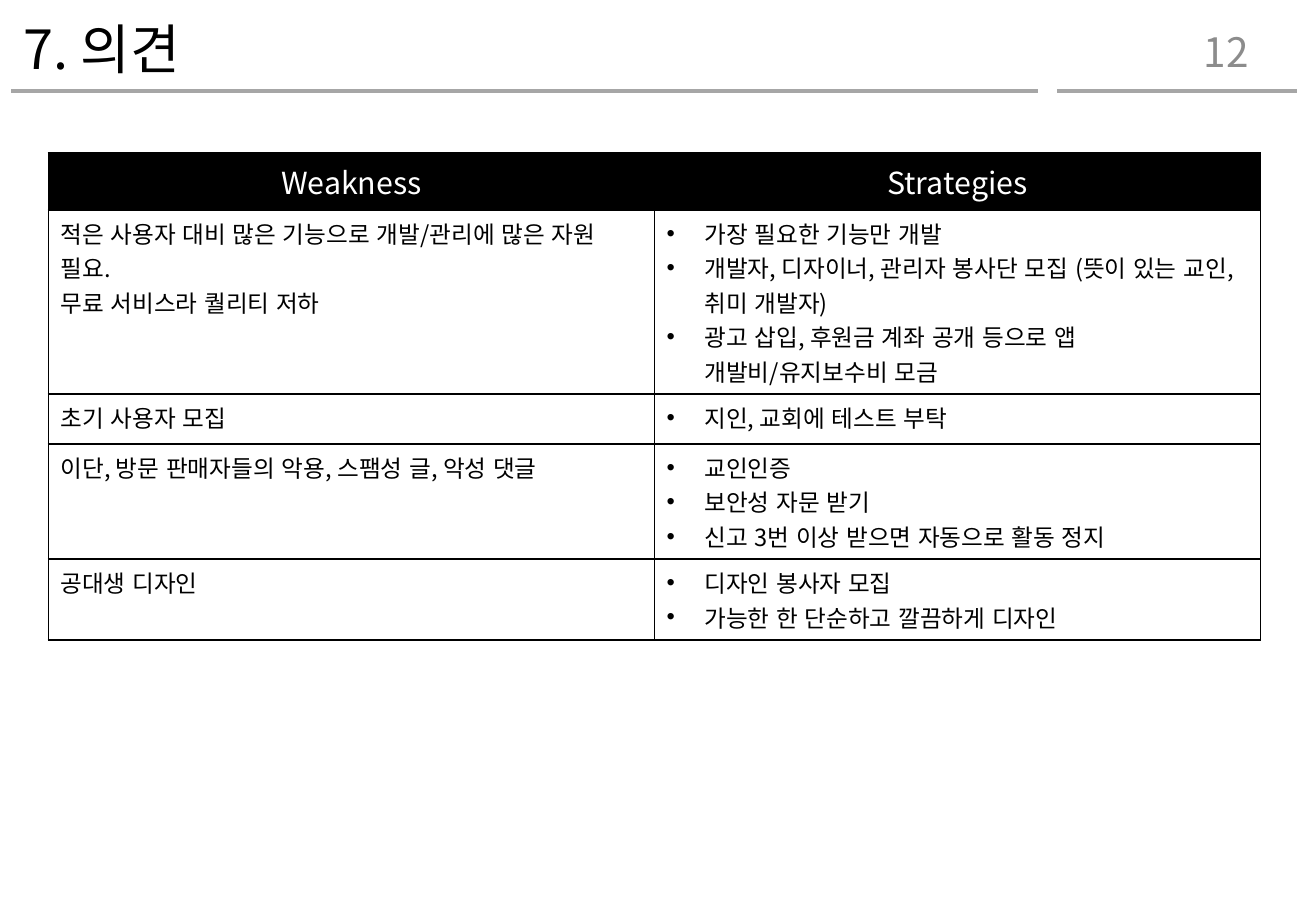
from dataclasses import dataclass

from lxml import etree
from pptx import Presentation
from pptx.dml.color import RGBColor
from pptx.enum.lang import MSO_LANGUAGE_ID
from pptx.enum.shapes import MSO_CONNECTOR
from pptx.enum.text import MSO_ANCHOR, PP_ALIGN
from pptx.oxml.ns import qn
from pptx.util import Cm, Pt

STRAIGHT = MSO_CONNECTOR.STRAIGHT
MIDDLE = MSO_ANCHOR.MIDDLE
LEFT, CENTER, RIGHT = PP_ALIGN.LEFT, PP_ALIGN.CENTER, PP_ALIGN.RIGHT
KOREAN = MSO_LANGUAGE_ID.KOREAN


@dataclass(frozen=True)
class Theme:
    font: str = "Noto Sans CJK KR"
    black: str = "000000"
    white: str = "FFFFFF"
    rule: str = "A6A6A6"
    number: str = "8C8C8C"
    title_size: int = 32
    number_size: int = 24
    header_size: int = 18
    body_size: int = 14
    rule_width: float = 2.25
    border_width: float = 1


THEME = Theme()
HEADERS = ["Weakness", "Strategies"]
ROW_HEIGHTS = [1.19, 3.85, 1.04, 2.41, 1.69]
OPINIONS = [
    (
        ["적은 사용자 대비 많은 기능으로 개발/관리에 많은 자원 필요.",
         "무료 서비스라 퀄리티 저하"],
        ["가장 필요한 기능만 개발",
         "개발자, 디자이너, 관리자 봉사단 모집 (뜻이 있는 교인, 취미 개발자)",
         "광고 삽입, 후원금 계좌 공개 등으로 앱 개발비/유지보수비 모금"],
    ),
    (["초기 사용자 모집"], ["지인, 교회에 테스트 부탁"]),
    (
        ["이단, 방문 판매자들의 악용, 스팸성 글, 악성 댓글"],
        ["교인인증", "보안성 자문 받기", "신고 3번 이상 받으면 자동으로 활동 정지"],
    ),
    (["공대생 디자인"], ["디자인 봉사자 모집", "가능한 한 단순하고 깔끔하게 디자인"]),
]


def add_run(p, text, size, color):
    r = p.add_run()
    r.text = text
    r.font.size = Pt(size)
    r.font.name = THEME.font
    r.font.language_id = KOREAN
    r.font.color.rgb = RGBColor.from_string(color)
    etree.SubElement(r.font._element, qn("a:ea"), typeface=THEME.font)


def add_text(s, box, text, size, color, align=LEFT, spacing=1.0):
    tf = s.shapes.add_textbox(*map(Cm, box)).text_frame
    tf.word_wrap = True
    tf.vertical_anchor = MIDDLE
    p = tf.paragraphs[0]
    p.alignment = align
    p.line_spacing = spacing
    add_run(p, text, size, color)


def add_rule(s, x1, x2, y):
    line = s.shapes.add_connector(STRAIGHT, Cm(x1), Cm(y), Cm(x2), Cm(y))
    line.line.color.rgb = RGBColor.from_string(THEME.rule)
    line.line.width = Pt(THEME.rule_width)
    etree.SubElement(line._element.spPr, qn("a:effectLst"))


def add_bullet(p):
    pPr = p._p.get_or_add_pPr()
    pPr.set("marL", str(Cm(0.79)))
    pPr.set("indent", str(Cm(-0.79)))
    etree.SubElement(pPr, qn("a:buFont"), typeface="Arial")
    etree.SubElement(pPr, qn("a:buChar"), char="•")


def add_borders(cell):
    tcPr = cell._tc.get_or_add_tcPr()
    for side in ("lnL", "lnR", "lnT", "lnB"):
        ln = etree.SubElement(tcPr, qn(f"a:{side}"), w=str(Pt(THEME.border_width)))
        fill = etree.SubElement(ln, qn("a:solidFill"))
        etree.SubElement(fill, qn("a:srgbClr"), val=THEME.black)


def fill_cell(cell, lines, header=False, bulleted=False):
    add_borders(cell)
    if header:
        cell.fill.solid()
        cell.fill.fore_color.rgb = RGBColor.from_string(THEME.black)
    else:
        cell.fill.background()
    size = THEME.header_size if header else THEME.body_size
    color = THEME.white if header else THEME.black
    tf = cell.text_frame
    for i, text in enumerate(lines):
        p = tf.add_paragraph() if i else tf.paragraphs[0]
        p.alignment = CENTER if header else LEFT
        if bulleted:
            add_bullet(p)
        add_run(p, text, size, color)


def add_opinion_table(s, left, top, width):
    table = s.shapes.add_table(len(ROW_HEIGHTS), len(HEADERS), Cm(left), Cm(top),
                               Cm(width), Cm(sum(ROW_HEIGHTS))).table
    table.first_row = False
    table.horz_banding = False
    for row, height in zip(table.rows, ROW_HEIGHTS):
        row.height = Cm(height)
    for col, text in enumerate(HEADERS):
        fill_cell(table.cell(0, col), [text], header=True)
    for row, (weaknesses, strategies) in enumerate(OPINIONS, 1):
        fill_cell(table.cell(row, 0), weaknesses)
        fill_cell(table.cell(row, 1), strategies, bulleted=True)


def main():
    prs = Presentation()
    prs.slide_width, prs.slide_height = Cm(27.51), Cm(19.05)
    s = prs.slides.add_slide(prs.slide_layouts[6])
    add_text(s, (0.24, 0.23, 23.39, 1.7), "7. 의견",
             THEME.title_size, THEME.black, spacing=0.9)
    add_rule(s, 0.23, 21.69, 1.9)
    add_rule(s, 22.1, 27.12, 1.9)
    add_text(s, (20.36, 0.56, 5.99, 1.02), "12",
             THEME.number_size, THEME.number, align=RIGHT)
    add_opinion_table(s, 1.01, 3.2, 25.34)
    prs.save("out.pptx")


if __name__ == "__main__":
    main()
